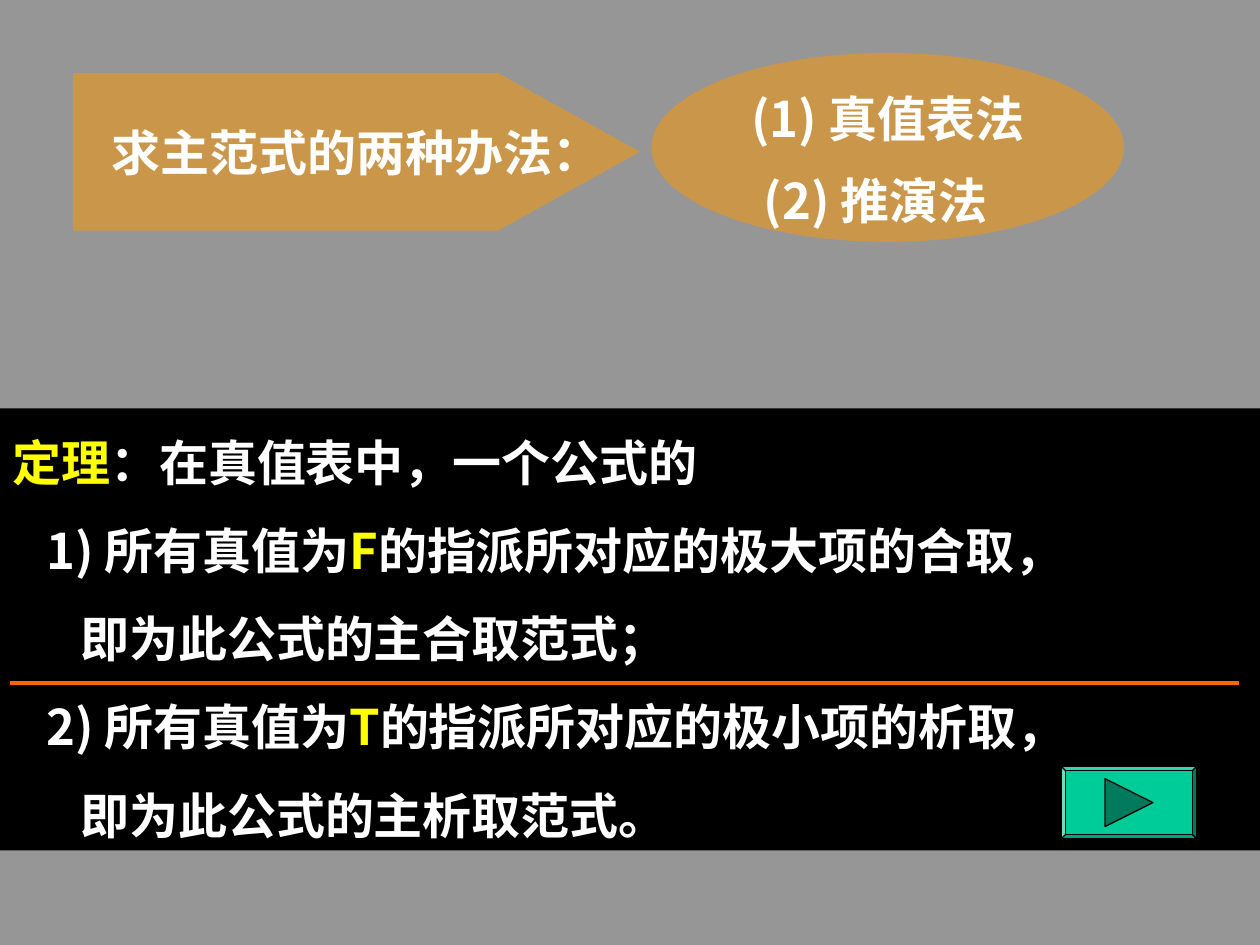
from lxml.etree import SubElement
from pptx import Presentation
from pptx.dml.color import RGBColor
from pptx.enum.shapes import MSO_CONNECTOR as Connector, MSO_SHAPE as Shape
from pptx.enum.text import MSO_ANCHOR as Anchor, PP_ALIGN as Align
from pptx.oxml.ns import qn
from pptx.util import Inches, Pt

FONT = "Noto Sans CJK SC"
COLORS = {
    "background": "969696",
    "panel": "000000",
    "text": "FFFFFF",
    "highlight": "FFFF00",
    "method": "FF9900",
    "rule": "FF6600",
    "button": "00CC99",
    "arrow": "007A5C",
    "outline": "000000",
}
THEOREM = [
    (0, 1.3, [("定理", "highlight"), ("：在真值表中，一个公式的", "text")]),
    (0.27, 1.5, [("1) 所有真值为", "text"), ("F", "highlight"),
                 ("的指派所对应的极大项的合取，", "text")]),
    (0.54, 1.5, [("即为此公式的主合取范式；", "text")]),
    (0.27, 1.5, [("2) 所有真值为", "text"), ("T", "highlight"),
                 ("的指派所对应的极小项的析取，", "text")]),
    (0.54, 1.5, [("即为此公式的主析取范式。", "text")]),
]


def color(name):
    return RGBColor.from_string(COLORS[name])


def add_block(page, kind, box, fill, alpha=None, outlined=False):
    shape = page.shapes.add_shape(kind, *map(Inches, box))
    shape.shadow.inherit = False
    shape.fill.solid()
    shape.fill.fore_color.rgb = color(fill)
    if alpha:
        solid = shape.fill._xPr.find(qn("a:solidFill"))
        SubElement(solid[0], qn("a:alpha"), val=str(alpha * 1000))
    if outlined:
        shape.line.color.rgb = color("outline")
        shape.line.width = Pt(0.75)
    else:
        shape.line.fill.background()
    return shape


def write_lines(shape, lines, align, anchor, wrap=True):
    frame = shape.text_frame
    frame.word_wrap = wrap
    frame.vertical_anchor = anchor
    for index, (indent, spacing, parts) in enumerate(lines):
        para = frame.add_paragraph() if index else frame.paragraphs[0]
        para.alignment = align
        para.line_spacing = spacing
        side = "marL" if indent >= 0 else "marR"
        para._p.get_or_add_pPr().set(side, str(Inches(abs(indent))))
        font = para.font
        font.name, font.size, font.bold = FONT, Pt(28), True
        font.color.rgb = color("text")
        SubElement(font._element, qn("a:ea"), typeface=FONT)
        for text, shade in parts:
            span = para.add_run()
            span.text = text
            if shade != "text":
                span.font.color.rgb = color(shade)


def add_theorem(page, left, top, width, height):
    panel = add_block(page, Shape.RECTANGLE, (left, top, width, height), "panel")
    write_lines(panel, THEOREM, Align.JUSTIFY, Anchor.TOP)
    y = Inches(top + 2.18)
    rule = page.shapes.add_connector(
        Connector.STRAIGHT, Inches(left + 0.08), y, Inches(left + width - 0.17), y)
    rule.line.color.rgb = color("rule")
    rule.line.width = Pt(2.25)
    SubElement(rule._element.spPr, qn("a:effectLst"))


def add_heading(page, left, top, width, height):
    banner = add_block(page, Shape.PENTAGON, (left, top, width, height), "method", 50)
    banner.adjustments[0] = 0.9
    banner.text_frame.margin_left = Inches(0.66)
    write_lines(banner, [(0, 1, [("求主范式的两种办法：", "text")])],
                Align.CENTER, Anchor.MIDDLE, wrap=False)


def add_methods(page, left, top, width, height):
    oval = add_block(page, Shape.OVAL, (left, top, width, height), "method", 50)
    write_lines(oval, [(0, 1.4, [("(1) 真值表法", "text")]),
                       (-0.19, 1.4, [("(2) 推演法", "text")])],
                Align.CENTER, Anchor.MIDDLE)


def add_next_button(page, left, top, width, height):
    bevel = add_block(page, Shape.BEVEL, (left, top, width, height), "button",
                      outlined=True)
    bevel.adjustments[0] = 0.06
    side = 0.38
    arrow = add_block(page, Shape.ISOSCELES_TRIANGLE,
                      (left + (width - side) / 2, top + (height - side) / 2, side, side),
                      "arrow", outlined=True)
    arrow.rotation = 90


def main():
    deck = Presentation()
    deck.slide_width, deck.slide_height = Inches(10), Inches(7.5)
    page = deck.slides.add_slide(deck.slide_layouts[6])
    page.background.fill.solid()
    page.background.fill.fore_color.rgb = color("background")
    add_theorem(page, 0, 3.24, 10, 3.51)
    add_heading(page, 0.58, 0.58, 4.5, 1.25)
    add_methods(page, 5.17, 0.42, 3.75, 1.5)
    add_next_button(page, 8.42, 6.08, 1.08, 0.58)
    deck.save("out.pptx")


if __name__ == "__main__":
    main()
